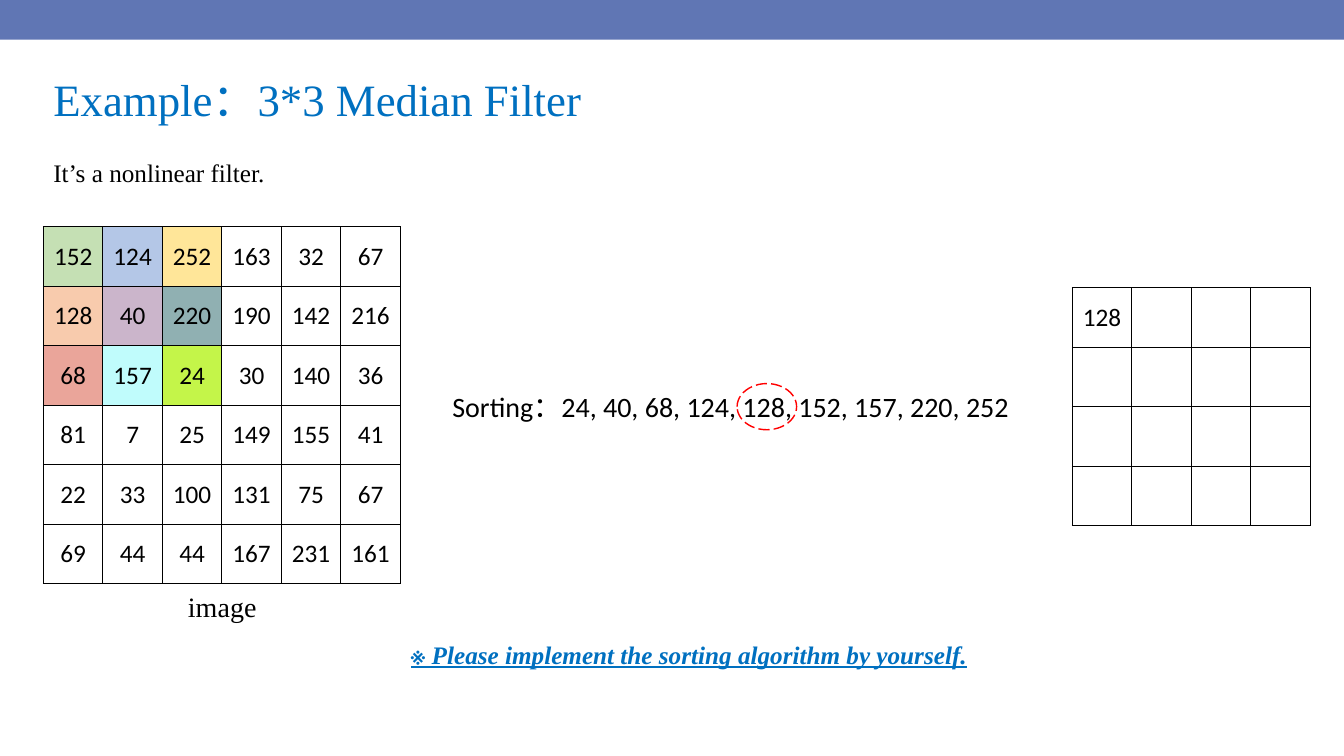
from lxml import etree
from pptx import Presentation, util as u
from pptx.dml.color import RGBColor
from pptx.enum import dml, shapes, text
from pptx.oxml.ns import qn

Pt = u.Pt
BLACK, WHITE, BLUE, RED, BAND = "000000", "FFFFFF", "0070C0", "FF0000", "6076B4"
SANS, SERIF = "Calibri", "Times New Roman"
CELL = 42.5
LEFT = 31


def color(value):
    return RGBColor.from_string(value)


class Deck:
    def __init__(self, width, height):
        self.prs = Presentation()
        self.prs.slide_width, self.prs.slide_height = Pt(width), Pt(height)
        self.s = self.prs.slides.add_slide(self.prs.slide_layouts[6])

    def style(self, p, size, font, ink, align=text.PP_ALIGN.LEFT, emphasis=False):
        p.alignment = align
        for r in p.runs:
            f = r.font
            f.size, f.name, f.color.rgb = Pt(size), font, color(ink)
            if emphasis:
                f.bold = f.italic = f.underline = True

    def label(self, words, x, y, w, h, size, font=SERIF, ink=BLACK, spacing=None, **look):
        tf = self.s.shapes.add_textbox(Pt(x), Pt(y), Pt(w), Pt(h)).text_frame
        tf.word_wrap = True
        tf.auto_size = text.MSO_AUTO_SIZE.SHAPE_TO_FIT_TEXT
        tf.text = words
        p = tf.paragraphs[0]
        p.line_spacing = spacing
        self.style(p, size, font, ink, **look)

    def shape(self, kind, x, y, w, h, fill=None, line=None):
        sp = self.s.shapes.add_shape(kind, Pt(x), Pt(y), Pt(w), Pt(h))
        sp.shadow.inherit = False
        if fill:
            sp.fill.solid()
            sp.fill.fore_color.rgb = color(fill)
        else:
            sp.fill.background()
        if line:
            sp.line.color.rgb, sp.line.width = color(line), Pt(1)
            sp.line.dash_style = dml.MSO_LINE.LONG_DASH
        else:
            sp.line.fill.background()

    def border(self, cell):
        tc_pr = cell._tc.get_or_add_tcPr()
        for i, side in enumerate(("a:lnL", "a:lnR", "a:lnT", "a:lnB")):
            ln = etree.Element(qn(side), w=str(Pt(1)))
            fill = etree.SubElement(ln, qn("a:solidFill"))
            etree.SubElement(fill, qn("a:srgbClr"), val=BLACK)
            tc_pr.insert(i, ln)

    def grid(self, values, x, y, fills=()):
        """Square bordered cells; fills colours the top left block."""
        rows, cols = len(values), len(values[0])
        table = self.s.shapes.add_table(
            rows, cols, Pt(x), Pt(y), Pt(cols * CELL), Pt(rows * CELL)).table
        table.first_row = table.horz_banding = False
        for line in (*table.rows, *table.columns):
            if hasattr(line, "height"):
                line.height = Pt(CELL)
            else:
                line.width = Pt(CELL)
        for i, row in enumerate(values):
            for j, value in enumerate(row):
                cell = table.cell(i, j)
                cell.margin_left = cell.margin_right = 0
                cell.vertical_anchor = text.MSO_ANCHOR.MIDDLE
                cell.text = str(value)
                self.style(cell.text_frame.paragraphs[0], 18, SANS, BLACK,
                           text.PP_ALIGN.CENTER)
                in_block = i < len(fills) and j < len(fills[i])
                cell.fill.solid()
                cell.fill.fore_color.rgb = color(fills[i][j] if in_block else WHITE)
                self.border(cell)


pixels = [
    [152, 124, 252, 163, 32, 67],
    [128, 40, 220, 190, 142, 216],
    [68, 157, 24, 30, 140, 36],
    [81, 7, 25, 149, 155, 41],
    [22, 33, 100, 131, 75, 67],
    [69, 44, 44, 167, 231, 161],
]
window_fills = [
    ["C5E0B4", "B4C7E7", "FFE699"],
    ["F8CBAD", "CBB5CB", "90B0B2"],
    ["EAA59A", "C0FCFC", "C4F549"],
]
window = sorted(v for row in pixels[:3] for v in row[:3])
median = window[len(window) // 2]
result = [[""] * 4 for _ in range(4)]
result[0][0] = median

deck = Deck(960, 540)

# Header band, title and introduction
deck.shape(shapes.MSO_SHAPE.RECTANGLE, 0, 0, 960, 28.3, fill=BAND)
deck.label("Example:3*3 Median Filter".replace(":", "\uff1a"), LEFT, 48, 408, 46, 32, ink=BLUE)
deck.label("It’s a nonlinear filter.", LEFT, 109, 578, 29, 18)

# Image with the filter window, and the filtered result
deck.grid(pixels, LEFT, 162, window_fills)
deck.label("image", 119.5, 417.5, 78.5, 31.5, 20, align=text.PP_ALIGN.CENTER)
deck.grid(result, 766, 205.5)

# Sorted window with the median circled
deck.label("Sorting\uff1a" + ", ".join(map(str, window)), 316, 274.5, 420, 31.5, 20, SANS)
deck.shape(shapes.MSO_SHAPE.OVAL, 526.5, 274, 42.5, 33, line=RED)

# Closing note
deck.label("※ Please implement the sorting algorithm by yourself.",
           286.5, 442, 419, 40.5, 18, ink=BLUE, spacing=1.5, emphasis=True)

deck.prs.save("out.pptx")
